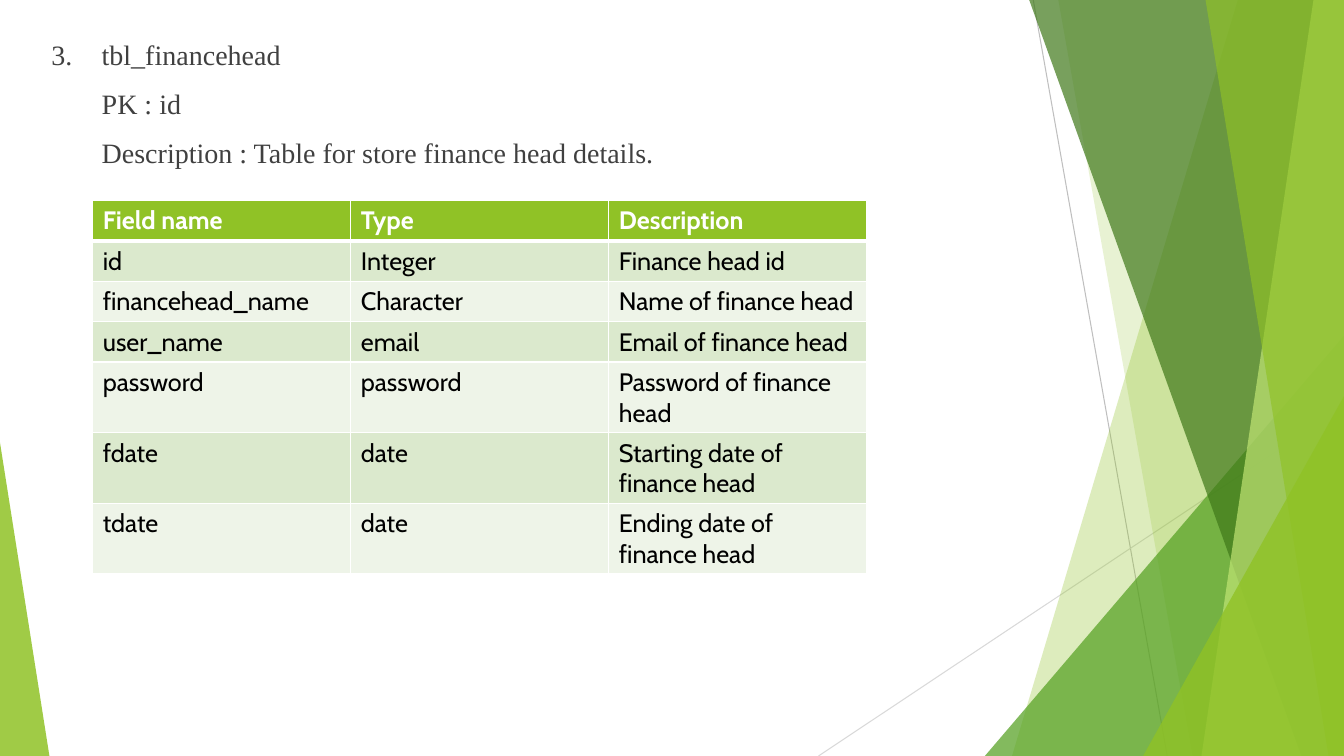
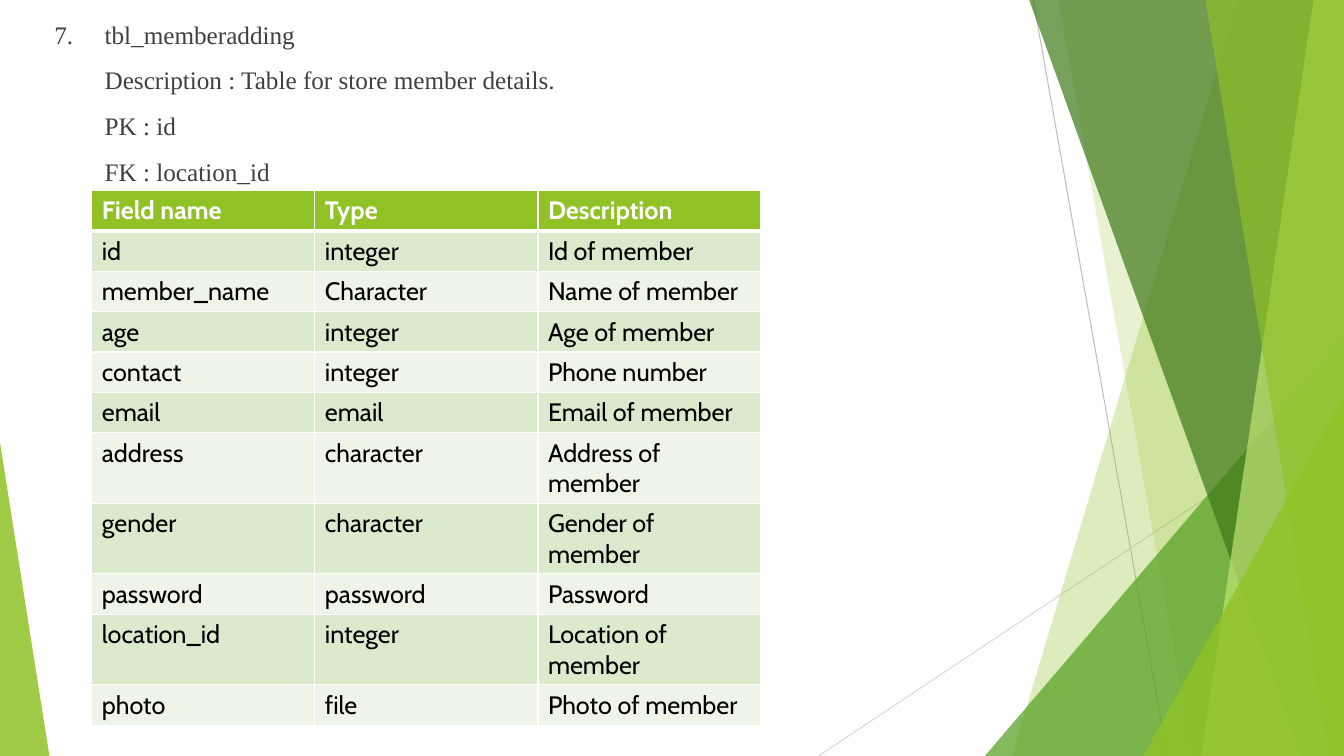
from dataclasses import dataclass

from lxml.etree import SubElement as Sub
from pptx import Presentation as Deck
from pptx.dml.color import RGBColor as Rgb
from pptx.enum.shapes import MSO_CONNECTOR as Link, MSO_SHAPE as Form
from pptx.oxml.ns import qn
from pptx.util import Emu, Inches, Pt

WIDE, TALL = Inches(13.333), Inches(7.5)
ROW = Inches(0.4)
STEP = Inches(0.5)

LIME = Rgb(0x90, 0xC2, 0x26)
LEAF = Rgb(0x54, 0xA0, 0x21)
MOSS = Rgb(0x3F, 0x78, 0x19)
PALE = Rgb(0xC0, 0xE4, 0x74)
MINT = Rgb(0xDB, 0xE9, 0xCD)
MIST = Rgb(0xEE, 0xF4, 0xE8)
ASH = Rgb(0xBF, 0xBF, 0xBF)
FOG = Rgb(0xD9, 0xD9, 0xD9)
INK = Rgb(0x40, 0x40, 0x40)
BLACK = Rgb(0, 0, 0)
WHITE = Rgb(0xFF, 0xFF, 0xFF)

SERIF, SANS = "Times New Roman", "Cabin"


@dataclass(frozen=True)
class Ray:
    start: tuple[float, float]
    end: tuple[float, float]
    color: Rgb


@dataclass(frozen=True)
class Pane:
    top: float
    foot: float
    color: Rgb
    alpha: int


@dataclass(frozen=True)
class Wedge:
    left: float
    right: float
    top: float
    peak: float
    color: Rgb
    alpha: int


@dataclass(frozen=True)
class Page:
    number: str
    name: str
    notes: list[str]
    size: int
    note_at: tuple[float, float]
    grid_at: tuple[float, float]
    span: float
    rows: list[tuple[str, str, str]]


DECOR = [
    Ray((76.88, 0), (86.85, 100), ASH),
    Ray((100, 53.73), (60.9, 100), FOG),
    Pane(92.1, 75.3, LIME, 30),
    Pane(78.75, 88.73, LIME, 20),
    Wedge(73.28, 100, 44.4, 1, LEAF, 72),
    Pane(76.58, 96.83, MOSS, 70),
    Pane(97.73, 89.4, PALE, 70),
    Pane(89.7, 98.85, LIME, 65),
    Wedge(85.05, 100, 52.4, 1, LIME, 80),
    Wedge(0, 3.68, 58.53, 0, LIME, 85),
]

HEAD = ("Field name", "Type", "Description")

PAGES = [
    Page(
        "3.", "tbl_financehead",
        ["PK : id", "Description : Table for store finance head details."],
        20, (3.08, 4.27), (6.9, 26.53), 57.6,
        [
            ("id", "Integer", "Finance head id"),
            ("financehead_name", "Character", "Name of finance head"),
            ("user_name", "email", "Email of finance head"),
            ("password", "password", "Password of finance head"),
            ("fdate", "date", "Starting date of finance head"),
            ("tdate", "date", "Ending date of finance head"),
        ],
    ),
    Page(
        "7.", "tbl_memberadding",
        ["Description : Table for store member details.", "PK : id", "FK : location_id"],
        18, (3.3, 1.87), (6.83, 25.2), 49.8,
        [
            ("id", "integer", "Id of member"),
            ("member_name", "Character", "Name of member"),
            ("age", "integer", "Age of member"),
            ("contact", "integer", "Phone number"),
            ("email", "email", "Email of member"),
            ("address", "character", "Address of member"),
            ("gender", "character", "Gender of member"),
            ("password", "password", "Password"),
            ("location_id", "integer", "Location of member"),
            ("photo", "file", "Photo of member"),
        ],
    ),
]


def across(share: float) -> Emu:
    return Emu(round(WIDE * share / 100))


def down(share: float) -> Emu:
    return Emu(round(TALL * share / 100))


def tint(shape, color: Rgb, alpha: int) -> None:
    shape.shadow.inherit = False
    shape.line.fill.background()
    shape.fill.solid()
    shape.fill.fore_color.rgb = color
    paint = shape.fill._xPr.find(qn("a:solidFill"))[0]
    Sub(paint, qn("a:alpha"), val=str(alpha * 1000))


def draw_ray(slide, ray: Ray) -> None:
    (x1, y1), (x2, y2) = ray.start, ray.end
    line = slide.shapes.add_connector(
        Link.STRAIGHT, across(x1), down(y1), across(x2), down(y2))
    line.line.color.rgb = ray.color
    line.line.width = Pt(0.75)
    Sub(line._element.spPr, qn("a:effectLst"))


def draw_pane(slide, pane: Pane) -> None:
    path = slide.shapes.build_freeform(across(pane.top), 0)
    path.add_line_segments(
        [(WIDE, 0), (WIDE, TALL), (across(pane.foot), TALL)], close=True)
    tint(path.convert_to_shape(), pane.color, pane.alpha)


def draw_wedge(slide, wedge: Wedge) -> None:
    shape = slide.shapes.add_shape(
        Form.ISOSCELES_TRIANGLE, across(wedge.left), down(wedge.top),
        across(wedge.right - wedge.left), down(100 - wedge.top))
    shape.adjustments[0] = wedge.peak
    tint(shape, wedge.color, wedge.alpha)


DRAW = {Ray: draw_ray, Pane: draw_pane, Wedge: draw_wedge}


def write(para, text: str, *, font: str, size: int, color: Rgb,
          bold: bool = False, before: float = 0) -> None:
    para.space_before = Pt(before)
    run = para.add_run()
    run.text = text
    run.font.name = font
    run.font.size = Pt(size)
    run.font.bold = bold
    run.font.color.rgb = color


def add_notes(slide, page: Page) -> None:
    x, y = page.note_at
    box = slide.shapes.add_textbox(across(x), down(y), across(73), down(86))
    frame = box.text_frame
    frame.word_wrap = True
    look = dict(font=SERIF, size=page.size, color=INK)
    title = frame.paragraphs[0]
    stops = Sub(title._p.get_or_add_pPr(), qn("a:tabLst"))
    Sub(stops, qn("a:tab"), pos=str(STEP), algn="l")
    write(title, f"{page.number}\t{page.name}", **look)
    for note in page.notes:
        para = frame.add_paragraph()
        para._p.get_or_add_pPr().set("marL", str(STEP))
        write(para, note, before=11, **look)


def edge(cell, side: str, width: int) -> None:
    line = Sub(cell._tc.get_or_add_tcPr(), qn(f"a:ln{side}"), w=str(Pt(width)))
    Sub(Sub(line, qn("a:solidFill")), qn("a:srgbClr"), val=str(WHITE))


def add_grid(slide, page: Page) -> None:
    rows = [HEAD, *page.rows]
    x, y = page.grid_at
    grid = slide.shapes.add_table(
        len(rows), len(HEAD), across(x), down(y),
        across(page.span), ROW * len(rows)).table
    for r, row in enumerate(rows):
        grid.rows[r].height = ROW
        top = r == 0
        fill = LIME if top else MINT if r % 2 else MIST
        widths = dict(L=1, R=1, T=3 if r == 1 else 1, B=3 if top else 1)
        for c, text in enumerate(row):
            cell = grid.cell(r, c)
            for side, width in widths.items():
                edge(cell, side, width)
            cell.fill.solid()
            cell.fill.fore_color.rgb = fill
            write(cell.text_frame.paragraphs[0], text, font=SANS, size=18,
                  color=WHITE if top else BLACK, bold=top)


def main() -> None:
    deck = Deck()
    deck.slide_width, deck.slide_height = WIDE, TALL
    for page in PAGES:
        slide = deck.slides.add_slide(deck.slide_layouts[6])
        for item in DECOR:
            DRAW[type(item)](slide, item)
        add_notes(slide, page)
        add_grid(slide, page)
    deck.save("out.pptx")


if __name__ == "__main__":
    main()
